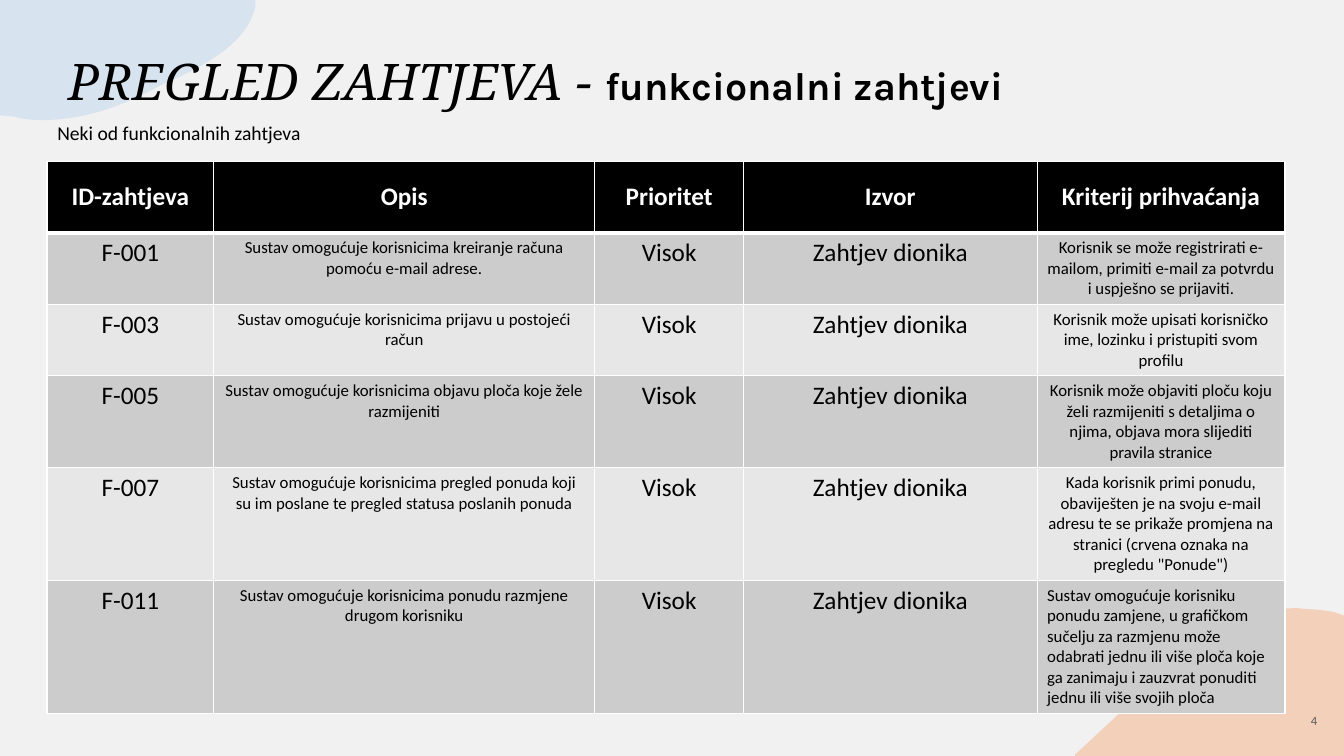
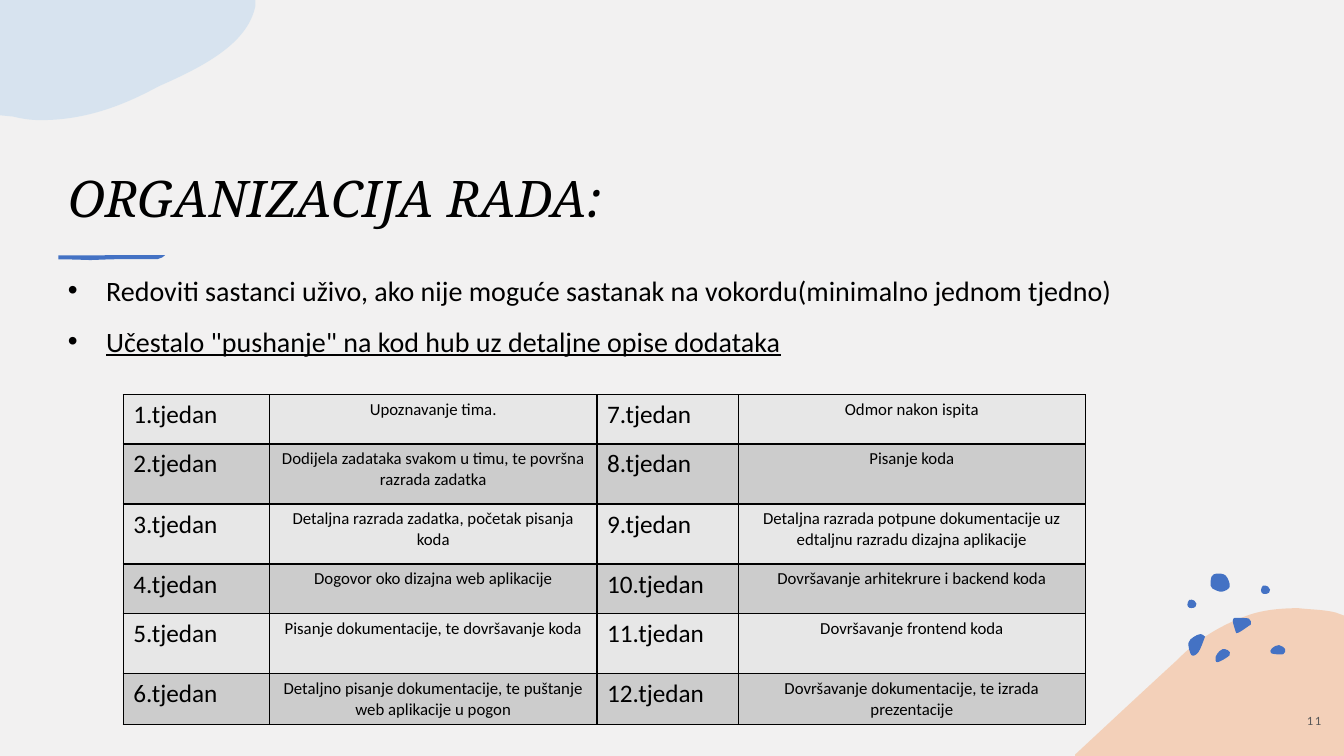
from dataclasses import dataclass

from lxml.etree import SubElement
from pptx import Presentation
from pptx.dml.color import RGBColor
from pptx.enum.text import MSO_ANCHOR, MSO_AUTO_SIZE, PP_ALIGN
from pptx.oxml.ns import qn
from pptx.util import Emu, Inches, Pt

# Grid of square cells: 160 columns by 90 rows fill the slide
COLS, ROWS = 160, 90
CELL = Inches(7.5) / ROWS
LEFT, MID = PP_ALIGN.LEFT, PP_ALIGN.CENTER


@dataclass(frozen=True)
class Theme:
    back: str = "F2F1F1"
    ink: str = "000000"
    white: str = "FFFFFF"
    grey: str = "595959"
    dark: str = "CCCCCC"
    light: str = "E7E7E7"
    blue: str = "4472C4"
    sky: str = "BDD7EE"
    peach: str = "F4B183"
    serif: str = "Noto Serif"
    sans: str = "Karla"
    text: str = "Calibri"
    head: int = 36
    sub: int = 28
    body: int = 20
    big: int = 18
    note: int = 14
    small: int = 12
    tiny: int = 9


T = Theme()

# Outlines as shares of their box: 2 numbers make a line, 6 a curve
HILL = [(.83, 0), (.88, .01, .93, .01, .97, .03), (1, .05), (1, 1), (0, 1),
        (0, .99), (.13, .77, .26, .55, .38, .35),
        (.46, .2, .55, .11, .64, .05), (.7, .01, .77, 0, .83, 0)]
CLOUD = [(0, 0), (1, 0), (1, .05), (.97, .37, .79, .56, .62, .72),
         (.49, .87, .34, 1, .16, 1), (.12, 1, .09, .99, .05, .97), (0, .96)]
STROKE = [(0, .1), (.5, .04), (.93, 0), (1, 0), (.97, .5), (.93, .8),
          (.5, .85), (.3, 1), (.15, .9), (0, .85)]

# Rings of knots, joined smoothly
PEBBLE = [(0, .62), (.22, 0), (.78, .12), (1, .5), (.89, .88), (.67, 1),
          (.22, 1)]
BEAN = [(.5, 0), (.86, .08), (1, .46), (.14, 1), (0, .6), (.28, .15)]
LEAF = [(.75, 0), (1, .1), (1, .18), (.62, .82), (.19, .95), (0, .41),
        (.31, .14)]
OVAL = [(.53, 0), (.93, .4), (.8, .9), (0, .8), (.07, .3)]
STONE = [(.05, .67), (.1, .17), (.35, 0), (.8, .11), (1, .72), (.6, 1),
         (.15, .83)]
WEDGE = [(.26, 0), (.85, .05), (.95, .4), (.84, .53), (.37, .93), (.21, 1),
         (.16, .93), (0, .2), (.1, 0)]
DOTS = [((144.72, 77.28, 1.68, 1.56), BEAN), ((141.48, 75.48, 1.92, 2.64), LEAF),
        ((151.32, 76.8, 1.8, 1.2), OVAL), ((144, 68.28, 2.4, 2.16), STONE),
        ((150.12, 69.72, 1.08, .96), PEBBLE),
        ((141.36, 71.4, 1.08, .96), PEBBLE),
        ((146.76, 73.56, 2.28, 1.8), WEDGE)]

NEEDS = [
    ("ID-zahtjeva", "Opis", "Prioritet", "Izvor", "Kriterij prihvaćanja"),
    *((code, goal, "Visok", "Zahtjev dionika", test) for code, goal, test in [
        ("F-001",
         "Sustav omogućuje korisnicima kreiranje računa pomoću e-mail adrese.",
         "Korisnik se može registrirati e-mailom, primiti e-mail za potvrdu "
         "i uspješno se prijaviti."),
        ("F-003", "Sustav omogućuje korisnicima prijavu u postojeći račun",
         "Korisnik može upisati korisničko ime, lozinku i pristupiti svom "
         "profilu"),
        ("F-005",
         "Sustav omogućuje korisnicima objavu ploča koje žele razmijeniti",
         "Korisnik može objaviti ploču koju želi razmijeniti s detaljima o "
         "njima, objava mora slijediti pravila stranice"),
        ("F-007",
         "Sustav omogućuje korisnicima pregled ponuda koji su im poslane te "
         "pregled statusa poslanih ponuda",
         "Kada korisnik primi ponudu, obaviješten je na svoju e-mail adresu "
         "te se prikaže promjena na stranici (crvena oznaka na pregledu "
         '"Ponude")'),
        ("F-011",
         "Sustav omogućuje korisnicima ponudu razmjene drugom korisniku",
         "Sustav omogućuje korisniku ponudu zamjene, u grafičkom sučelju za "
         "razmjenu može odabrati jednu ili više ploča koje ga zanimaju i "
         "zauzvrat ponuditi jednu ili više svojih ploča")]),
]
TASKS = [
    "Upoznavanje tima.",
    "Dodijela zadataka svakom u timu, te površna razrada zadatka",
    "Detaljna razrada zadatka, početak pisanja koda",
    "Dogovor oko dizajna web aplikacije",
    "Pisanje dokumentacije, te dovršavanje koda",
    "Detaljno pisanje dokumentacije, te puštanje web aplikacije u pogon",
    "Odmor nakon ispita",
    "Pisanje koda",
    "Detaljna razrada potpune dokumentacije uz edtaljnu razradu dizajna "
    "aplikacije",
    "Dovršavanje arhitekrure i backend koda",
    "Dovršavanje frontend koda",
    "Dovršavanje dokumentacije, te izrada prezentacije",
]


def emu(n):
    return Emu(round(n * CELL))


def rgb(color):
    return RGBColor.from_string(color)


def write(para, text, size, color=T.ink, font=T.text, **style):
    run = para.add_run()
    run.text = text
    run.font.size, run.font.name = Pt(size), font
    run.font.color.rgb = rgb(color)
    for key, value in style.items():
        setattr(run.font, key, value)
    return run


# Outlines
def smooth(ring):
    """Turn a closed ring of knots into curves through them."""
    n = len(ring)
    parts = [ring[0]]
    for i in range(n):
        a, b, c, d = (ring[(i + k) % n] for k in (-1, 0, 1, 2))
        out = tuple(q + (r - p) / 6 for p, q, r in zip(a, b, c))
        back = tuple(q - (r - p) / 6 for p, q, r in zip(b, c, d))
        parts.append(out + back + c)
    return parts


def blob(shapes, box, parts, color, alpha=None):
    x, y, w, h = box

    def spot(px, py):
        return emu(x + w * px), emu(y + h * py)

    ends = [spot(*part[-2:]) for part in parts]
    pen = shapes.build_freeform(*ends[0], scale=1.0)
    pen.add_line_segments(ends[1:], close=True)
    shape = pen.convert_to_shape()
    # Bend the sides that have control points
    sides = list(shape.element.spPr.iter(qn("a:lnTo")))
    for side, part in zip(sides, parts[1:]):
        if len(part) == 6:
            side.tag = qn("a:cubicBezTo")
            for i in (0, 2):
                cx, cy = spot(*part[i:i + 2])
                knot = SubElement(side, qn("a:pt"), x=str(cx - shape.left),
                                  y=str(cy - shape.top))
                side.insert(i // 2, knot)
    shape.shadow.inherit = False
    shape.fill.solid()
    shape.fill.fore_color.rgb = rgb(color)
    shape.line.fill.background()
    if alpha:
        tint = next(shape.element.spPr.iter(qn("a:srgbClr")))
        SubElement(tint, qn("a:alpha")).set("val", str(alpha * 1000))
    return shape


# Shared parts
def dress(deck, slide):
    """Give the master its background, corner shapes, dots and stroke."""
    master, shapes = deck.slide_master, slide.shapes
    master.background.fill.solid()
    master.background.fill.fore_color.rgb = rgb(T.back)
    hill = blob(shapes, (128, 72.4, 32, 17.6), HILL, T.peach, 50)
    dots = shapes.add_group_shape()
    for box, ring in DOTS:
        blob(dots.shapes, box, smooth(ring), T.blue)
    cloud = blob(shapes, (0, 0, 30.4, 14.3), CLOUD, T.sky, 50)
    stroke = blob(shapes, (6.96, 30.36, 12.72, .6), STROKE, T.blue)
    for shape in (hill, dots, cloud, stroke):
        master.shapes.element.append(shape.element)


def title(slide, box, text, tail=None):
    shape = slide.shapes.title
    shape.left, shape.top, shape.width, shape.height = map(emu, box)
    frame = shape.text_frame
    frame.auto_size = MSO_AUTO_SIZE.NONE
    frame.vertical_anchor = MSO_ANCHOR.BOTTOM
    para = frame.paragraphs[0]
    para.alignment = LEFT
    write(para, text, T.head, font=T.serif, italic=True)
    if tail:
        write(para, tail, T.sub, font=T.sans, bold=True)


def label(slide, box):
    frame = slide.shapes.add_textbox(*map(emu, box)).text_frame
    frame.word_wrap = True
    return frame


def number(slide, box, text):
    frame = label(slide, box)
    frame.vertical_anchor = MSO_ANCHOR.MIDDLE
    para = frame.paragraphs[0]
    para.alignment = MID
    run = write(para, text, T.tiny, T.grey)
    run.font._element.set("spc", "110")


def points(slide, box, lines):
    frame = label(slide, box)
    for i, (text, under) in enumerate(lines):
        para = frame.add_paragraph() if i else frame.paragraphs[0]
        para.line_spacing, para.space_before = 1.1, Pt(10)
        props = para._p.get_or_add_pPr()
        props.set("marL", str(Inches(.38)))
        props.set("indent", str(-Inches(.38)))
        SubElement(props, qn("a:buFont")).set("typeface", "Arial")
        SubElement(props, qn("a:buChar")).set("char", "•")
        write(para, text, T.body, underline=under)


# Tables
def edge(cell, color, top=1, low=1):
    props = cell._tc.get_or_add_tcPr()
    for i, (side, wide) in enumerate(zip("LRTB", (1, 1, top, low))):
        line = SubElement(props, qn(f"a:ln{side}"), w=str(Pt(wide)))
        fill = SubElement(line, qn("a:solidFill"))
        SubElement(fill, qn("a:srgbClr")).set("val", color)
        props.insert(i, line)


def grid(slide, spot, cols, rows, data, sizes, sides, rule, head=False):
    frame = slide.shapes.add_table(len(rows), len(cols), *map(
        emu, (*spot, sum(cols), sum(rows))))
    table = frame.table
    table.first_row = table.horz_banding = False
    for col, wide in zip(table.columns, cols):
        col.width = emu(wide)
    for i, (row, high) in enumerate(zip(table.rows, rows)):
        row.height = emu(high)
        top = head and i == 0
        for j, cell in enumerate(row.cells):
            cell.fill.solid()
            cell.fill.fore_color.rgb = rgb(
                T.ink if top else T.dark if i % 2 else T.light)
            edge(cell, rule, 3 if head and i == 1 else 1, 3 if top else 1)
            para = cell.text_frame.paragraphs[0]
            para.alignment = sides[j]
            if top:
                cell.vertical_anchor = MSO_ANCHOR.MIDDLE
            write(para, data[i][j], T.big if top else sizes[j],
                  T.white if top else T.ink, bold=top)
    return table


# Slides
def needs(slide):
    title(slide, (6.9, 0, 132.24, 13.8), "PREGLED ZAHTJEVA - ",
          "funkcionalni zahtjevi")
    table = grid(slide, (5.6, 19.2), (19.85, 45.36, 17.72, 34.95, 29.5),
                 (8.5, 8.5, 8.5, 10.95, 13.4, 15.85), NEEDS,
                 (T.big, T.small, T.big, T.big, T.small), [MID] * 5, T.white,
                 head=True)
    table.cell(5, 4).text_frame.paragraphs[0].alignment = LEFT
    note = label(slide, (5.64, 13.8, 58.8, 4.1))
    write(note.paragraphs[0], "Neki od funkcionalnih zahtjeva", T.note)


def plan(slide):
    title(slide, (6.9, 10.32, 132.24, 17.4), "ORGANIZACIJA RADA:")
    points(slide, (6.9, 31.56, 146.04, 12.48), [
        ("Redoviti sastanci uživo, ako nije moguće sastanak na "
         "vokordu(minimalno jednom tjedno)", False),
        ('Učestalo "pushanje" na kod hub uz detaljne opise dodataka', True)])
    half = len(TASKS) // 2
    weeks = [[text for n in (i, i + half)
              for text in (f"{n + 1}.tjedan", TASKS[n])] for i in range(half)]
    grid(slide, (14.68, 47), (17.4, 39, 16.8, 41.35),
         (5.85, 7.15, 7.15, 5.85, 7.2, 6.1), weeks, (T.big, T.small) * 2,
         (LEFT, MID) * 2, T.ink)


def main():
    deck = Presentation()
    deck.slide_width, deck.slide_height = emu(COLS), emu(ROWS)
    for i, (draw, page) in enumerate([(needs, "4"), (plan, "11")]):
        slide = deck.slides.add_slide(deck.slide_layouts[5])
        if i == 0:
            dress(deck, slide)
        draw(slide)
        number(slide, (152.95, 83.4, 7, 4.8), page)
    deck.save("out.pptx")


if __name__ == "__main__":
    main()
